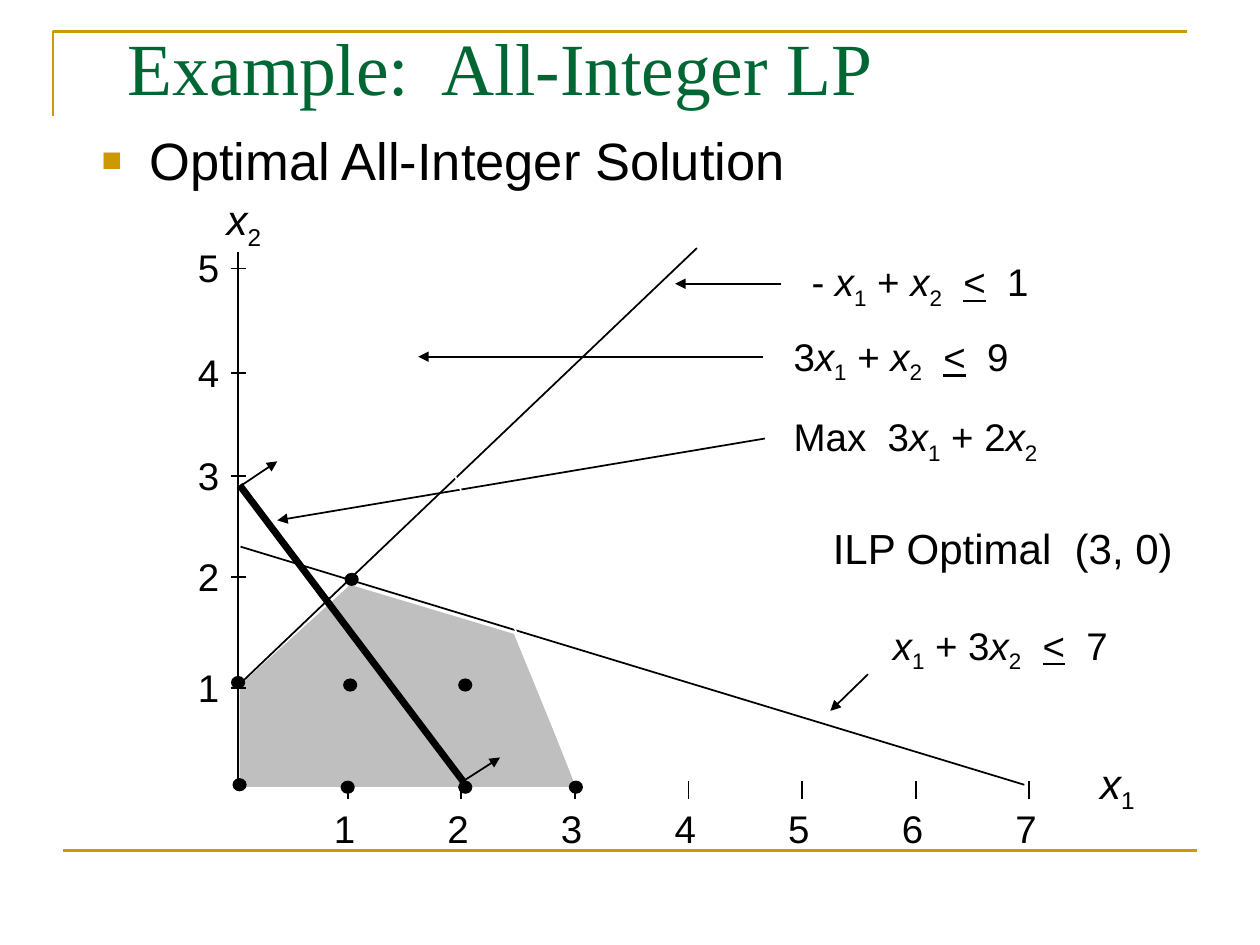
from lxml.etree import SubElement
from pptx import Presentation
from pptx.dml.color import RGBColor
from pptx.enum.shapes import MSO_CONNECTOR, MSO_SHAPE
from pptx.enum.text import MSO_ANCHOR
from pptx.oxml.ns import qn
from pptx.util import Cm, Pt

COLORS = {
    "gold": "CC9900",
    "green": "006633",
    "black": "000000",
    "white": "FFFFFF",
    "region": "BFBFBF",
}
X_AXIS_Y = 15.88
Y_AXIS_X = 4.8
X_STEP = 2.29


def rgb(name):
    return RGBColor.from_string(COLORS[name])


def variable(index):
    return [("x", "italic"), (str(index), "sub")]


def constraint(first, second, limit):
    """Spans of 'first x1 second x2 <= limit', the sign being an underlined <."""
    return [(first, ""), *variable(1), (second, ""), *variable(2),
            ("  ", ""), ("<", "underline"), (f"  {limit}", "")]


class SlideWriter:
    font = "Arial"
    margins = {"margin_left": Cm(0.23), "margin_right": Cm(0.23),
               "margin_top": Cm(0.13), "margin_bottom": Cm(0.13)}

    def __init__(self, page):
        self.page = page

    def text(self, spans, left, top, width, height, size=22, color="black",
             font=None, **frame_format):
        """Spans are a string or (text, style) pairs; returns the paragraph."""
        box = self.page.shapes.add_textbox(Cm(left), Cm(top), Cm(width), Cm(height))
        frame = box.text_frame
        for name, value in {"word_wrap": False, **self.margins, **frame_format}.items():
            setattr(frame, name, value)
        para = frame.paragraphs[0]
        for content, style in [(spans, "")] if isinstance(spans, str) else spans:
            span = para.add_run()
            span.text = content
            span.font.color.rgb = rgb(color)
            settings = {"name": font or self.font, "size": Pt(size)}
            if style in ("italic", "underline"):
                settings[style] = True
            for name, value in settings.items():
                setattr(span.font, name, value)
            if style == "sub":
                span._r.get_or_add_rPr().set("baseline", "-25000")
        return para

    def bullet(self, para, indent, color):
        properties = para._p.get_or_add_pPr()
        properties.set("marL", str(Cm(indent)))
        properties.set("indent", str(-Cm(indent)))
        bullet_color = SubElement(properties, qn("a:buClr"))
        SubElement(bullet_color, qn("a:srgbClr"), val=COLORS[color])
        SubElement(properties, qn("a:buSzPct"), val="65000")
        SubElement(properties, qn("a:buFont"), typeface=self.font)
        SubElement(properties, qn("a:buChar"), char="■")

    def tabs(self, para, step, count):
        stops = SubElement(para._p.get_or_add_pPr(), qn("a:tabLst"))
        for number in range(1, count + 1):
            SubElement(stops, qn("a:tab"), pos=str(Cm(step * number)), algn="l")

    def line(self, start, end, color="black", width=1, arrow=False):
        connector = self.page.shapes.add_connector(
            MSO_CONNECTOR.STRAIGHT, *map(Cm, start + end))
        connector.line.color.rgb = rgb(color)
        connector.line.width = Pt(width)
        if arrow:
            SubElement(connector.line._get_or_add_ln(), qn("a:tailEnd"), type="triangle")
        SubElement(connector._element.spPr, qn("a:effectLst"))

    def outline(self, points, fill=None, stroke=None):
        """Closed when filled, open otherwise."""
        corners = [(Cm(x), Cm(y)) for x, y in points]
        builder = self.page.shapes.build_freeform(*corners[0])
        builder.add_line_segments(corners[1:], close=fill is not None)
        shape = builder.convert_to_shape()
        shape.shadow.inherit = False
        if fill:
            shape.fill.solid()
            shape.fill.fore_color.rgb = rgb(fill)
        else:
            shape.fill.background()
        if stroke:
            shape.line.color.rgb = rgb(stroke)
            shape.line.width = Pt(1.5)
        else:
            shape.line.fill.background()

    def dot(self, x, y, width=0.25, height=0.23):
        shape = self.page.shapes.add_shape(
            MSO_SHAPE.OVAL, Cm(x - width / 2), Cm(y - height / 2), Cm(width), Cm(height))
        shape.shadow.inherit = False
        shape.fill.solid()
        shape.fill.fore_color.rgb = rgb("black")
        shape.line.color.rgb = rgb("black")
        shape.line.width = Pt(1)


def add_heading(writer):
    writer.outline([(1.07, 2.34), (1.07, 0.64), (23.93, 0.64)], stroke="gold")
    writer.line((1.27, 17.15), (24.13, 17.15), "gold", 1.5)
    writer.text("Example:  All-Integer LP", 2.33, 0.33, 20.78, 1.42, 42, "green",
                "Times New Roman", margin_left=Cm(0.25), margin_top=Cm(0.12),
                word_wrap=True)
    subtitle = writer.text("Optimal All-Integer Solution", 1.8, 2.36, 19.58, 1.73, 30,
                           margin_left=Cm(0.25), word_wrap=True,
                           vertical_anchor=MSO_ANCHOR.MIDDLE)
    writer.bullet(subtitle, 0.96, "gold")


def add_graph(writer):
    writer.outline([(4.83, X_AXIS_Y), (4.83, 13.82), (7.06, 11.79),
                    (10.36, 12.78), (11.63, X_AXIS_Y)], fill="region")
    writer.line((Y_AXIS_X, 13.82), (14.05, 5))
    writer.line((4.85, 11.02), (20.65, 15.82))
    writer.line((Y_AXIS_X, 5.08), (Y_AXIS_X, 15.9))
    for start, end in [
        ((17.5, 13.59), (16.74, 14.33)),
        ((15.42, 8.84), (5.59, 10.49)),
        ((15.39, 7.19), (8.43, 7.19)),
        ((15.75, 5.72), (13.61, 5.72)),
        ((Y_AXIS_X, 9.83), (5.59, 9.3)),
        ((9.3, 15.77), (10.08, 15.27)),
    ]:
        writer.line(start, end, arrow=True)
    writer.line((4.83, X_AXIS_Y), (21.72, X_AXIS_Y), "white")
    writer.line((4.83, 9.78), (9.35, 15.77), width=4)
    writer.line((11.61, 15.82), (7.47, 5.23), "white")


def add_scales(writer):
    for value, y in enumerate((13.87, 11.63, 9.6, 7.52, 5.41), start=1):
        writer.line((4.65, y), (4.95, y))
        writer.text(str(value), 3.76, y - 0.62, 0.89, 1.17)
    for value in range(1, 8):
        x = 7.01 + X_STEP * (value - 1)
        writer.line((x, 16.1), (x, 15.75))
    numbers = writer.text("\t".join(map(str, range(1, 8))), 6.5, 16.1, 14.88, 1.17,
                          word_wrap=True)
    writer.tabs(numbers, X_STEP, 6)
    for x, y in [(4.8, 13.76), (7.06, 13.81), (9.38, 13.81), (7.09, 11.68),
                 (4.83, 15.82), (7.01, 15.87), (9.38, 15.87), (11.61, 15.87)]:
        writer.dot(x, y)


def add_labels(writer):
    for spans, left, top in [
        (constraint("- ", " + ", 1), 16.13, 5.08),
        (constraint("3", " + ", 9), 15.77, 6.58),
        ([("Max  3", ""), *variable(1), (" + 2", ""), *variable(2)], 15.77, 8.2),
        (constraint("", " + 3", 7)[1:], 17.77, 12.4),
    ]:
        writer.text(spans, left, top, 5.5, 1.3)
    writer.text("ILP Optimal  (3, 0)", 16.56, 10.41, 7.5, 1.27, 24)
    writer.text(variable(2), 4.34, 3.78, 1.17, 1.4, 24)
    writer.text(variable(1), 21.95, 15.14, 1.17, 1.4, 24)


def main():
    deck = Presentation()
    deck.slide_width, deck.slide_height = Cm(25.4), Cm(19.05)
    writer = SlideWriter(deck.slides.add_slide(deck.slide_layouts[6]))
    add_heading(writer)
    add_graph(writer)
    add_scales(writer)
    add_labels(writer)
    deck.save("out.pptx")


if __name__ == "__main__":
    main()
